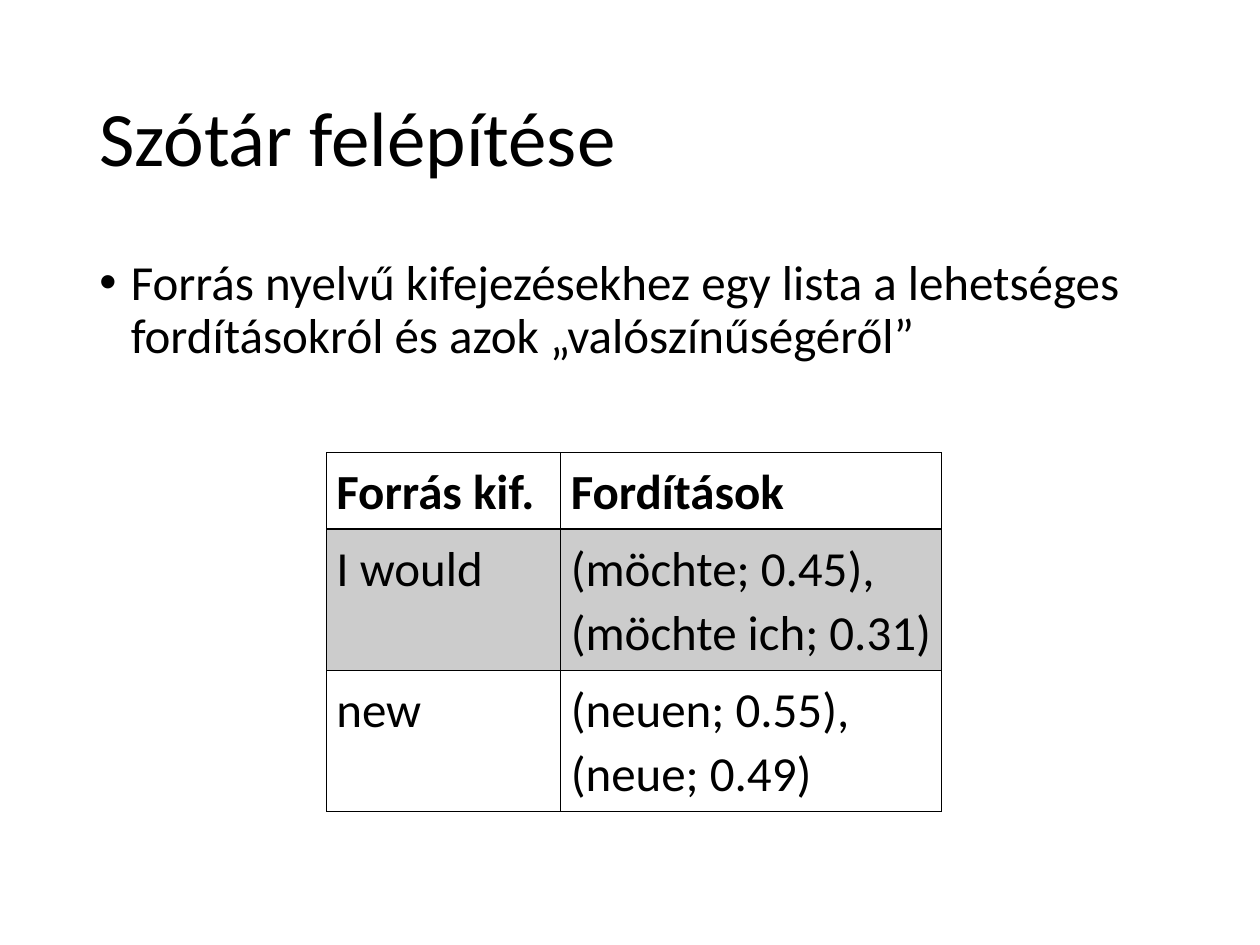
from lxml.etree import SubElement
from pptx import Presentation
from pptx.dml.color import RGBColor
from pptx.enum.text import MSO_ANCHOR
from pptx.oxml import parse_xml
from pptx.oxml.ns import nsdecls, qn
from pptx.util import Inches, Pt

COLORS = {"ink": "000000"}
FONT = "Calibri"
THIN, THICK = 0.45, 0.96
ROWS = [
    ("Forrás kif.", "Fordítások"),
    ("I would", "(möchte; 0.45),\v(möchte ich; 0.31)"),
    ("new", "(neuen; 0.55),\v(neue; 0.49)"),
]
COL_WIDTHS = (1.86, 3.02)
ROW_HEIGHTS = (0.61, 1.12, 1.12)


def style_paragraph(p, size, spacing, bold=False):
    p.line_spacing = spacing
    for r in p.runs:
        r.font.name = FONT
        r.font.size = Pt(size)
        r.font.bold = bold
        r.font.color.rgb = RGBColor.from_string(COLORS["ink"])


def add_text(s, text, top, height, size, anchor):
    tf = s.shapes.add_textbox(Inches(0.69), Inches(top), Inches(8.63), Inches(height)).text_frame
    tf.word_wrap = True
    tf.vertical_anchor = anchor
    tf.text = text
    p = tf.paragraphs[0]
    style_paragraph(p, size, 0.9)
    return p


def add_bullet(p):
    pPr = p._p.get_or_add_pPr()
    pPr.set("marL", str(Inches(0.25)))
    pPr.set("indent", str(-Inches(0.25)))
    SubElement(pPr, qn("a:buFont")).set("typeface", "Arial")
    SubElement(pPr, qn("a:buChar")).set("char", "•")


def set_borders(cell, top, bottom):
    tcPr = cell._tc.get_or_add_tcPr()
    widths = {"lnL": THIN, "lnR": THIN, "lnT": top, "lnB": bottom}
    for i, (side, width) in enumerate(widths.items()):
        tcPr.insert(i, parse_xml(
            f'<a:{side} {nsdecls("a")} w="{Pt(width)}"><a:solidFill>'
            f'<a:srgbClr val="{COLORS["ink"]}"/></a:solidFill></a:{side}>'))


def fill_cell(cell, shaded):
    if not shaded:
        cell.fill.background()
        return
    cell.fill.solid()
    cell.fill.fore_color.rgb = RGBColor.from_string(COLORS["ink"])
    color = cell._tc.tcPr.find(".//" + qn("a:srgbClr"))
    SubElement(color, qn("a:alpha")).set("val", "20000")


def add_dictionary_table(s):
    table = s.shapes.add_table(len(ROWS), len(COL_WIDTHS), Inches(2.59), Inches(3.59),
                               Inches(sum(COL_WIDTHS)), Inches(sum(ROW_HEIGHTS))).table
    table.first_row = table.horz_banding = False
    for column, width in zip(table.columns, COL_WIDTHS):
        column.width = Inches(width)
    for i, (row, texts, height) in enumerate(zip(table.rows, ROWS, ROW_HEIGHTS)):
        row.height = Inches(height)
        for cell, text in zip(row.cells, texts):
            cell.margin_left = cell.margin_right = Inches(0.08)
            cell.margin_top = cell.margin_bottom = Inches(0.05)
            cell.text_frame.text = text
            style_paragraph(cell.text_frame.paragraphs[0], 28, 1.07, bold=i == 0)
            fill_cell(cell, shaded=i == 1)
            set_borders(cell, top=THICK if i == 1 else THIN, bottom=THICK if i == 0 else THIN)


def main():
    prs = Presentation()
    prs.slide_width, prs.slide_height = Inches(10), Inches(7.5)
    s = prs.slides.add_slide(prs.slide_layouts[6])
    add_text(s, "Szótár felépítése", 0.4, 1.45, 44, MSO_ANCHOR.MIDDLE)
    p = add_text(s, "Forrás nyelvű kifejezésekhez egy lista a lehetséges fordításokról "
                    "és azok „valószínűségéről”", 2, 4.76, 28, MSO_ANCHOR.TOP)
    add_bullet(p)
    add_dictionary_table(s)
    prs.save("out.pptx")


if __name__ == "__main__":
    main()
